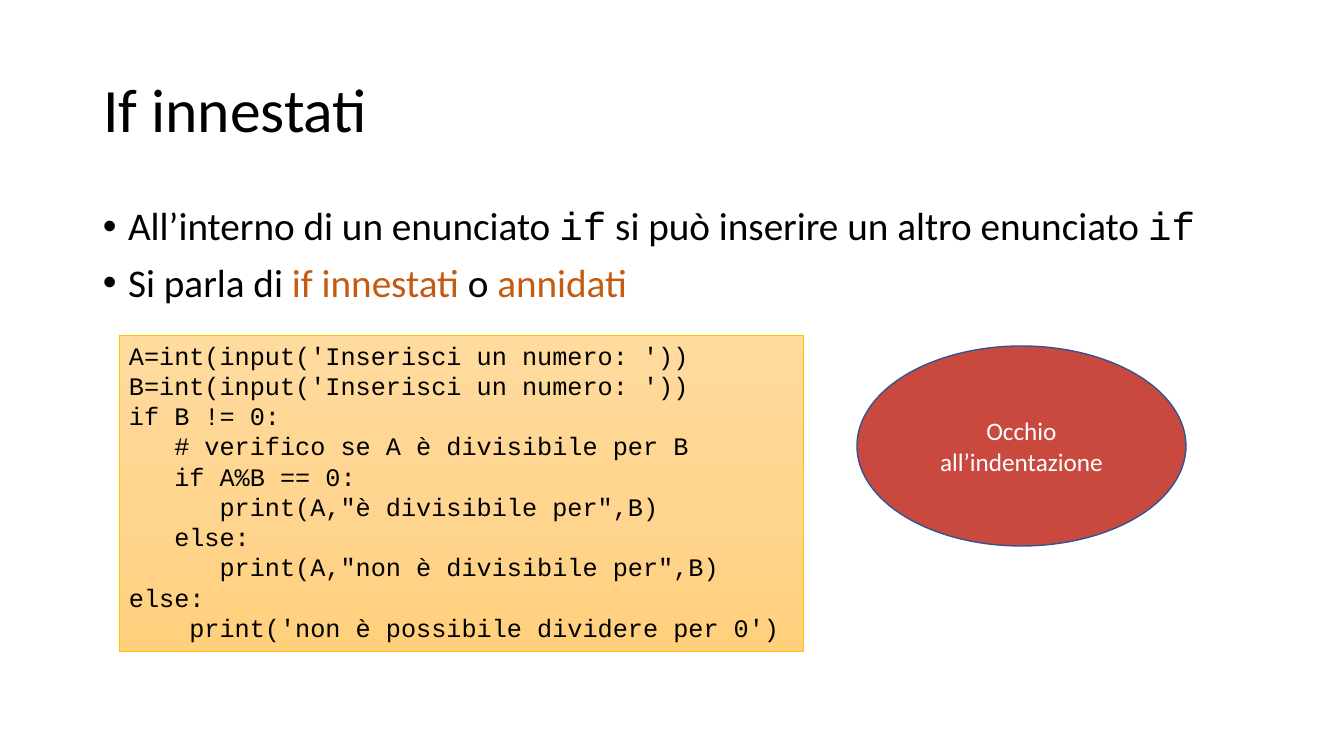
import copy
from dataclasses import dataclass
from typing import NamedTuple

import pptx
import pptx.dml.color
import pptx.enum.shapes
import pptx.enum.text
import pptx.oxml
import pptx.oxml.ns
import pptx.util

PX = 914400 / 100.8  # EMU per pixel
SHAPE = pptx.enum.shapes.MSO_SHAPE
ALIGN = pptx.enum.text.PP_ALIGN
ANCHOR = pptx.enum.text.MSO_ANCHOR


@dataclass(frozen=True)
class Theme:
    sans: str = "Calibri"
    mono: str = "Courier New"
    ink: str = "000000"
    accent: str = "C55A11"
    light: str = "FFFFFF"
    code_fill: tuple[str, ...] = ("FFDB9E", "FFD590", "FFD07C")
    code_line: str = "FFC000"
    warning_fill: str = "C9493F"
    warning_line: str = "325491"
    title_size: int = 44
    body_size: int = 28
    small_size: int = 18


THEME = Theme()


class Box(NamedTuple):
    left: int
    top: int
    width: int
    height: int


class Span(NamedTuple):
    text: str
    font: str = THEME.sans
    color: str = THEME.ink


@dataclass(frozen=True)
class Panel:
    box: Box
    preset: SHAPE
    text: str
    font: str
    text_color: str
    fills: tuple[str, ...]
    line: str
    line_width: float
    align: ALIGN
    anchor: ANCHOR


def px(length: int) -> int:
    return pptx.util.Emu(round(length * PX))


def rgb(value: str) -> pptx.dml.color.RGBColor:
    return pptx.dml.color.RGBColor.from_string(value)


def place(box: Box) -> list[int]:
    return [px(length) for length in box]


def style(run, font: str, size: int, color: str) -> None:
    run.font.name = font
    run.font.size = pptx.util.Pt(size)
    run.font.color.rgb = rgb(color)


def add_bullet(paragraph, spans: list[Span]) -> None:
    paragraph.line_spacing = 0.9
    paragraph.space_before = pptx.util.Pt(10)
    properties = paragraph._p.get_or_add_pPr()
    indent = pptx.util.Inches(0.25)
    properties.set("marL", str(indent))
    properties.set("indent", str(-indent))
    for tag, key, value in (("a:buFont", "typeface", "Arial"), ("a:buChar", "char", "•")):
        mark = pptx.oxml.parse_xml(f"<{tag} {pptx.oxml.ns.nsdecls('a')}/>")
        mark.set(key, value)
        properties.append(mark)
    for span in spans:
        run = paragraph.add_run()
        run.text = span.text
        style(run, span.font, THEME.body_size, span.color)


def paint(shape, colors: tuple[str, ...]) -> None:
    if len(colors) == 1:
        shape.fill.solid()
        shape.fill.fore_color.rgb = rgb(colors[0])
        return
    shape.fill.gradient()
    shape.fill.gradient_angle = 270
    stops = shape.element.find(".//" + pptx.oxml.ns.qn("a:gsLst"))
    for _ in colors[2:]:
        stops.insert(1, copy.deepcopy(stops[0]))
    for index, (stop, color) in enumerate(zip(shape.fill.gradient_stops, colors)):
        stop.position = index / (len(colors) - 1)
        stop.color.rgb = rgb(color)


def draw_panel(slide, panel: Panel) -> None:
    shape = slide.shapes.add_shape(panel.preset, *place(panel.box))
    shape.shadow.inherit = False
    paint(shape, panel.fills)
    shape.line.color.rgb = rgb(panel.line)
    shape.line.width = pptx.util.Pt(panel.line_width)
    frame = shape.text_frame
    frame.text = panel.text
    frame.word_wrap = True
    frame.vertical_anchor = panel.anchor
    for paragraph in frame.paragraphs:
        paragraph.alignment = panel.align
        for run in paragraph.runs:
            style(run, panel.font, THEME.small_size, panel.text_color)


# Content
BULLETS = [
    [Span("All’interno di un enunciato "), Span("if", THEME.mono),
     Span(" si può inserire un altro enunciato "), Span("if", THEME.mono)],
    [Span("Si parla di "), Span("if innestati", color=THEME.accent),
     Span(" o "), Span("annidati", color=THEME.accent)],
]

NESTED_IF = """\
A=int(input('Inserisci un numero: '))
B=int(input('Inserisci un numero: '))
if B != 0:
   # verifico se A è divisibile per B
   if A%B == 0:
      print(A,"è divisibile per",B)
   else:
      print(A,"non è divisibile per",B)
else:
    print('non è possibile dividere per 0')"""

PANELS = [
    Panel(Box(119, 335, 684, 316), SHAPE.RECTANGLE, NESTED_IF, THEME.mono, THEME.ink,
          THEME.code_fill, THEME.code_line, 0.5, ALIGN.LEFT, ANCHOR.TOP),
    Panel(Box(857, 346, 329, 200), SHAPE.OVAL, "Occhio all’indentazione", THEME.sans,
          THEME.light, (THEME.warning_fill,), THEME.warning_line, 1,
          ALIGN.CENTER, ANCHOR.MIDDLE),
]

# Slide
deck = pptx.Presentation()
deck.slide_width, deck.slide_height = px(1344), px(756)
slide = deck.slides.add_slide(deck.slide_layouts[5])

# Title
title = slide.shapes.title
title.left, title.top, title.width, title.height = place(Box(93, 40, 1159, 146))
title.text_frame.text = "If innestati"
title.text_frame.vertical_anchor = ANCHOR.MIDDLE
heading = title.text_frame.paragraphs[0]
heading.alignment = ALIGN.LEFT
heading.line_spacing = 0.9
style(heading.runs[0], THEME.sans, THEME.title_size, THEME.ink)

# Explanation
explanation = slide.shapes.add_textbox(*place(Box(93, 202, 1159, 480))).text_frame
explanation.word_wrap = True
for index, spans in enumerate(BULLETS):
    add_bullet(explanation.add_paragraph() if index else explanation.paragraphs[0], spans)

# Code and warning
for panel in PANELS:
    draw_panel(slide, panel)

deck.save("out.pptx")
